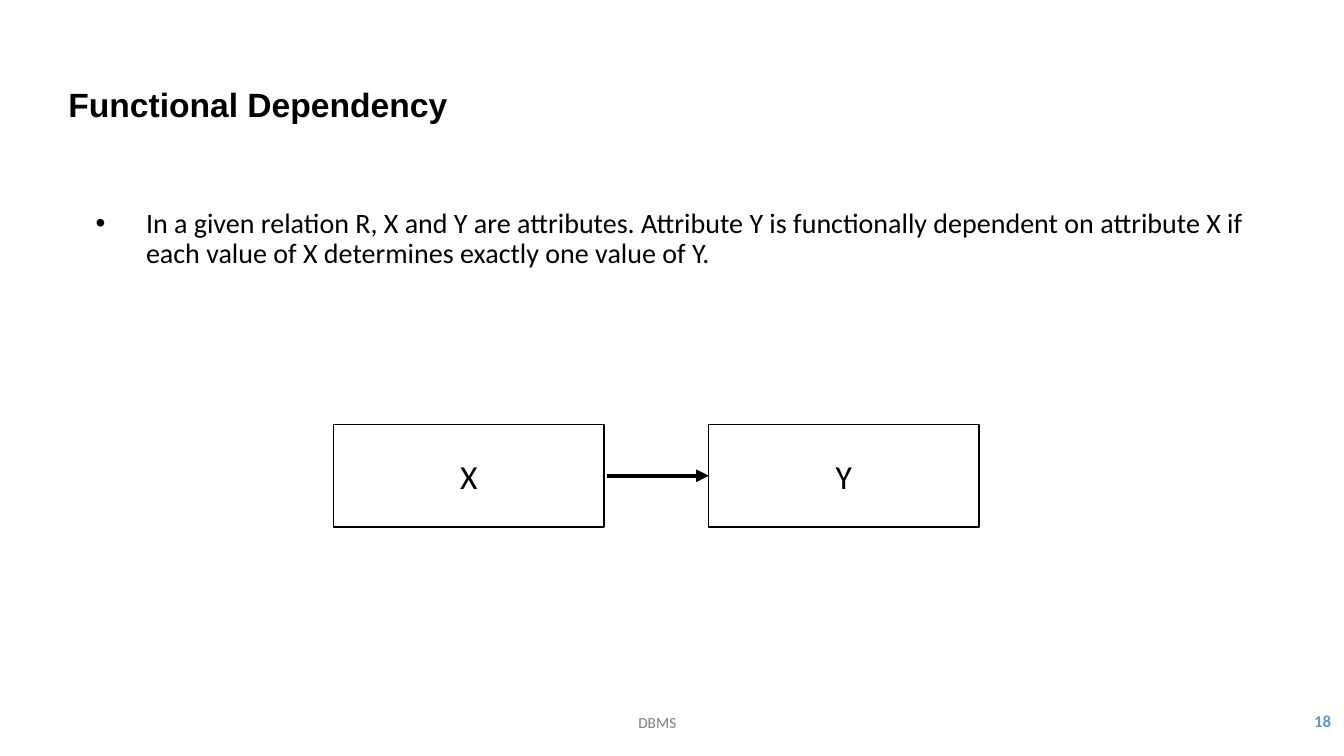
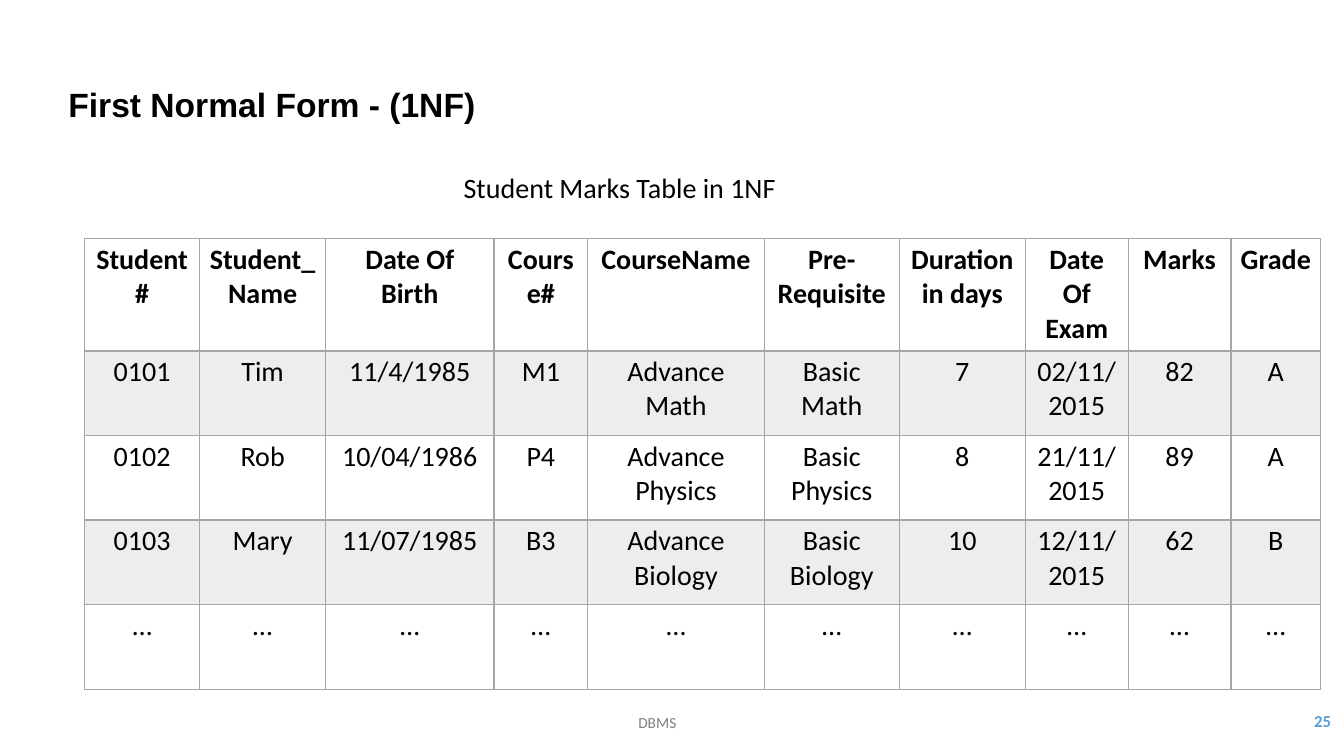
import dataclasses
import typing

import lxml.etree
import pptx
import pptx.dml.color
import pptx.enum.shapes
import pptx.enum.text
import pptx.oxml.ns
import pptx.slide
import pptx.util

Inches = pptx.util.Inches
Pt = pptx.util.Pt
RGB = pptx.dml.color.RGBColor
ALIGN = pptx.enum.text.PP_ALIGN
ANCHOR = pptx.enum.text.MSO_ANCHOR
SHAPE = pptx.enum.shapes.MSO_SHAPE
CONNECTOR = pptx.enum.shapes.MSO_CONNECTOR
qn = pptx.oxml.ns.qn


@dataclasses.dataclass(frozen=True)
class Style:
    size: float
    color: RGB
    name: str = "Calibri"
    bold: bool = False


@dataclasses.dataclass(frozen=True)
class Theme:
    ink: RGB = RGB(0x00, 0x00, 0x00)
    border: RGB = RGB(0xA5, 0xA5, 0xA5)
    band: RGB = RGB(0xED, 0xED, 0xED)
    title: Style = Style(24, RGB(0x00, 0x00, 0x00), "Arial", True)
    body: Style = Style(20, RGB(0x00, 0x00, 0x00))
    header: Style = Style(20, RGB(0x00, 0x00, 0x00), bold=True)
    node: Style = Style(24, RGB(0x00, 0x00, 0x00))
    footer: Style = Style(11, RGB(0x80, 0x80, 0x80))
    number: Style = Style(12, RGB(0x5B, 0x9B, 0xD5), bold=True)


class Box(typing.NamedTuple):
    left: float
    top: float
    width: float
    height: float

    def lengths(self) -> list[pptx.util.Length]:
        return [Inches(v) for v in self]


class Column(typing.NamedTuple):
    width: float
    heading: str
    values: tuple[str, ...]


THEME = Theme()
TITLE_BOX = Box(0.58, 0.86, 10.44, 0.4)
FOOTER_BOX = Box(3.29, 6.97, 6.46, 0.4)
NUMBER_BOX = Box(11.63, 6.95, 1.67, 0.4)
FOOTER = "DBMS"

DEFINITION = (
    "In a given relation R, X and Y are attributes. Attribute Y is functionally "
    "dependent on attribute X if each value of X determines exactly one value of Y."
)
NODE_X = Box(3.31, 4.21, 2.68, 1.02)
NODE_Y = NODE_X._replace(left=7.03)

COLUMNS = (
    Column(1.14, "Student#", ("0101", "0102", "0103")),
    Column(1.25, "Student_Name", ("Tim", "Rob", "Mary")),
    Column(1.67, "Date Of Birth", ("11/4/1985", "10/04/1986", "11/07/1985")),
    Column(0.93, "Course#", ("M1", "P4", "B3")),
    Column(1.75, "CourseName", ("Advance Math", "Advance\nPhysics", "Advance\nBiology")),
    Column(1.34, "Pre-\nRequisite", ("Basic Math", "Basic Physics", "Basic Biology")),
    Column(1.25, "Duration in days", ("7", "8", "10")),
    Column(1.02, "Date Of Exam", ("02/11/2015", "21/11/2015", "12/11/2015")),
    Column(1.02, "Marks", ("82", "89", "62")),
    Column(0.89, "Grade", ("A", "A", "B")),
)
ROW_HEIGHTS = (1.11, 0.84, 0.84, 0.84, 0.84)
CELL_FORMAT = {
    "margin_left": Inches(0.09),
    "margin_right": Inches(0.09),
    "margin_top": Inches(0.04),
    "margin_bottom": Inches(0.04),
}


def set_attrs(target: typing.Any, values: dict[str, typing.Any]) -> None:
    for name, value in values.items():
        setattr(target, name, value)


def write(tf: typing.Any, text: str, style: Style, **paragraph: typing.Any) -> None:
    """Write each line of text as a paragraph with the given format values."""
    for i, line in enumerate(text.split("\n")):
        p = tf.add_paragraph() if i else tf.paragraphs[0]
        set_attrs(p, paragraph)
        r = p.add_run()
        r.text = line
        set_attrs(r.font, {"name": style.name, "size": Pt(style.size), "bold": style.bold})
        r.font.color.rgb = style.color


def add_text(s: pptx.slide.Slide, box: Box, text: str, style: Style,
             anchor: ANCHOR = ANCHOR.MIDDLE, **paragraph: typing.Any) -> typing.Any:
    tf = s.shapes.add_textbox(*box.lengths()).text_frame
    set_attrs(tf, {"word_wrap": True, "vertical_anchor": anchor})
    write(tf, text, style, **paragraph)
    return tf


def add_bullet(p: typing.Any, indent: float) -> None:
    pPr = p._p.get_or_add_pPr()
    pPr.set("marL", str(Inches(indent)))
    pPr.set("indent", str(-Inches(indent)))
    lxml.etree.SubElement(pPr, qn("a:buFont")).set("typeface", "Arial")
    lxml.etree.SubElement(pPr, qn("a:buChar")).set("char", "•")


def add_node(s: pptx.slide.Slide, box: Box, text: str) -> None:
    sp = s.shapes.add_shape(SHAPE.RECTANGLE, *box.lengths())
    sp.shadow.inherit = False
    sp.fill.background()
    sp.line.color.rgb = THEME.ink
    sp.line.width = Pt(1)
    sp.text_frame.vertical_anchor = ANCHOR.MIDDLE
    write(sp.text_frame, text, THEME.node, alignment=ALIGN.CENTER)


def add_arrow(s: pptx.slide.Slide, x1: float, x2: float, y: float) -> None:
    cn = s.shapes.add_connector(
        CONNECTOR.STRAIGHT, Inches(x1), Inches(y), Inches(x2), Inches(y))
    cn.line.color.rgb = THEME.ink
    cn.line.width = Pt(3)
    spPr = cn._element.spPr
    lxml.etree.SubElement(spPr.find(qn("a:ln")), qn("a:tailEnd")).set("type", "triangle")
    lxml.etree.SubElement(spPr, qn("a:effectLst"))


def set_borders(cell: typing.Any, widths: dict[str, float]) -> None:
    """Put the border lines ahead of the fill, as the schema orders them."""
    tcPr = cell._tc.get_or_add_tcPr()
    for i, (side, width) in enumerate(widths.items()):
        ln = lxml.etree.Element(qn(f"a:ln{side}"), w=str(Pt(width)))
        fill = lxml.etree.SubElement(ln, qn("a:solidFill"))
        lxml.etree.SubElement(fill, qn("a:srgbClr")).set("val", str(THEME.border))
        tcPr.insert(i, ln)


def add_marks_table(s: pptx.slide.Slide, left: float, top: float) -> None:
    box = Box(left, top, sum(c.width for c in COLUMNS), sum(ROW_HEIGHTS))
    table = s.shapes.add_table(len(ROW_HEIGHTS), len(COLUMNS), *box.lengths()).table
    set_attrs(table, {"first_row": False, "horz_banding": False})
    for row, height in zip(table.rows, ROW_HEIGHTS):
        row.height = Inches(height)
    for j, column in enumerate(COLUMNS):
        table.columns[j].width = Inches(column.width)
        for i, text in enumerate((column.heading, *column.values, "…")):
            cell = table.cell(i, j)
            set_attrs(cell, CELL_FORMAT)
            if i % 2:
                cell.fill.solid()
                cell.fill.fore_color.rgb = THEME.band
            else:
                cell.fill.background()
            set_borders(cell, {"L": 1, "R": 1, "T": 2 if i == 1 else 1, "B": 1 if i else 2})
            write(cell.text_frame, text, THEME.body if i else THEME.header,
                  alignment=ALIGN.CENTER)


def add_slide(prs: typing.Any, title: str, number: int) -> pptx.slide.Slide:
    s = prs.slides.add_slide(prs.slide_layouts[6])
    add_text(s, TITLE_BOX, title, THEME.title, line_spacing=0.9)
    add_text(s, FOOTER_BOX, FOOTER, THEME.footer, alignment=ALIGN.CENTER)
    add_text(s, NUMBER_BOX, str(number), THEME.number, alignment=ALIGN.RIGHT)
    return s


def build_dependency(prs: typing.Any) -> None:
    s = add_slide(prs, "Functional Dependency", 18)
    tf = add_text(s, Box(0.85, 2.03, 11.62, 0.8), DEFINITION, THEME.body,
                  ANCHOR.TOP, line_spacing=0.9)
    add_bullet(tf.paragraphs[0], 0.5)
    add_node(s, NODE_X, "X")
    add_node(s, NODE_Y, "Y")
    add_arrow(s, NODE_X.left + NODE_X.width + 0.03, NODE_Y.left, NODE_X.top + NODE_X.height / 2)


def build_first_normal_form(prs: typing.Any) -> None:
    s = add_slide(prs, "First Normal Form - (1NF)", 25)
    add_marks_table(s, 0.84, 2.37)
    add_text(s, Box(4.5, 1.64, 4.34, 0.44), "Student Marks Table in 1NF", THEME.body, ANCHOR.TOP)


def main() -> None:
    prs = pptx.Presentation()
    set_attrs(prs, {"slide_width": Inches(13.33), "slide_height": Inches(7.5)})
    build_dependency(prs)
    build_first_normal_form(prs)
    prs.save("out.pptx")


if __name__ == "__main__":
    main()
